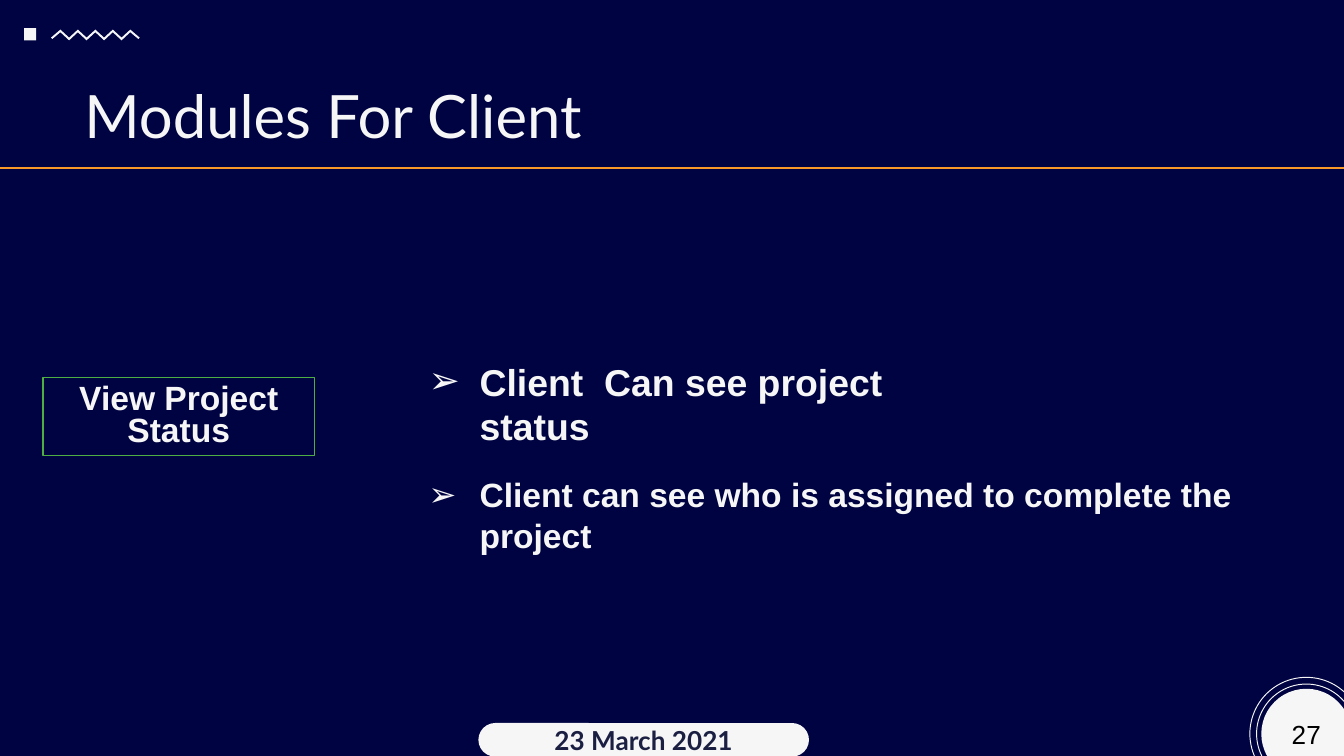
import pptx
import pptx.util
import pptx.dml.color
import pptx.enum.shapes
import pptx.enum.text
import pptx.oxml.ns
from lxml import etree

Inches, Pt = pptx.util.Inches, pptx.util.Pt
SHAPE = pptx.enum.shapes.MSO_SHAPE
ANCHOR = pptx.enum.text.MSO_ANCHOR
ALIGN = pptx.enum.text.PP_ALIGN
qn = pptx.oxml.ns.qn

COLORS = {"navy": "000341", "white": "F6F6F6", "orange": "F89829",
          "green": "4CAE43", "ink": "1B1F42", "black": "000000"}

TITLE = "Modules For Client"
MODULE = "View Project Status"
BULLETS = [  # text, size, box
    ("Client  Can see project status", 20, (3.09, 2.62, 4.25, 0.77)),
    ("Client can see who is assigned to complete the project", 18,
     (3.09, 3.48, 6.36, 0.71)),
]
DATE = "23 March 2021"
PAGE = "27"

BADGE_CENTER = (9.72, 5.46)
BADGE_RADIUS = 0.335
RING_RADII = (0.42, 0.37)
ZIGZAG_START, ZIGZAG_STEP, ZIGZAG_COUNT = 0.45, 0.065, 9


def rgb(name):
    return pptx.dml.color.RGBColor.from_string(COLORS[name])


def style(s, fill=None, line=None, width=0.75):
    s.shadow.inherit = False
    if fill:
        s.fill.solid()
        s.fill.fore_color.rgb = rgb(fill)
    else:
        s.fill.background()
    if line:
        s.line.color.rgb = rgb(line)
        s.line.width = Pt(width)
    else:
        s.line.fill.background()


def add_shape(kind, box, **look):
    s = slide.shapes.add_shape(kind, *map(Inches, box))
    style(s, **look)
    return s


def add_outline(points):
    points = [(Inches(x), Inches(y)) for x, y in points]
    builder = slide.shapes.build_freeform(*points[0])
    builder.add_line_segments(points[1:], close=True)
    style(builder.convert_to_shape(), fill="white")


def circle_box(radius):
    x, y = BADGE_CENTER
    return x - radius, y - radius, 2 * radius, 2 * radius


def write(s, text, size, color="white", font="Arial", bold=False,
          align=ALIGN.CENTER, anchor=ANCHOR.MIDDLE, inset=0.1):
    tf = s.text_frame
    tf.word_wrap = True
    tf.vertical_anchor = anchor
    tf.margin_left = tf.margin_right = Inches(0.1)
    tf.margin_top = tf.margin_bottom = Inches(inset)
    tf.text = text
    p = tf.paragraphs[0]
    p.alignment = align
    f = p.runs[0].font
    f.name, f.size, f.bold = font, Pt(size), bold
    f.color.rgb = rgb(color)
    return p


def add_bullet(p, indent=0.38):
    pPr = p._p.get_or_add_pPr()
    pPr.set("marL", str(Inches(indent)))
    pPr.set("indent", str(-Inches(indent)))
    color = etree.SubElement(pPr, qn("a:buClr"))
    etree.SubElement(color, qn("a:srgbClr"), val=COLORS["white"])
    etree.SubElement(pPr, qn("a:buFont"), typeface="Arial")
    etree.SubElement(pPr, qn("a:buChar"), char="➢")


prs = pptx.Presentation()
prs.slide_width = Inches(10)
prs.slide_height = prs.slide_width * 9 // 16
slide = prs.slides.add_slide(prs.slide_layouts[6])
slide.background.fill.solid()
slide.background.fill.fore_color.rgb = rgb("navy")

# Header: square, zigzag band, title and rule
add_shape(SHAPE.RECTANGLE, (0.18, 0.21, 0.09, 0.09), fill="white")
xs = [ZIGZAG_START + i * ZIGZAG_STEP for i in range(ZIGZAG_COUNT)]
upper = [(x, 0.28 if i % 2 else 0.22) for i, x in enumerate(xs)]
lower = [(x, 0.3 if i % 2 else 0.24) for i, x in enumerate(xs)]
add_outline([(0.38, 0.28), *upper, (1.04, 0.28),
             (1.03, 0.29), *reversed(lower), (0.39, 0.29)])

rule = slide.shapes.add_connector(
    pptx.enum.shapes.MSO_CONNECTOR.STRAIGHT,
    0, Inches(1.25), prs.slide_width, Inches(1.25))
rule.line.color.rgb = rgb("orange")
rule.line.width = Pt(1.5)
etree.SubElement(rule._element.spPr, qn("a:effectLst"))

title = slide.shapes.add_textbox(*map(Inches, (0.53, 0.49, 4.47, 0.63)))
write(title, TITLE, 32, font="Lato", align=ALIGN.LEFT, anchor=ANCHOR.TOP)

# Body: module box and its bullets
module = add_shape(SHAPE.RECTANGLE, (0.32, 2.81, 2.02, 0.58), line="green")
write(module, MODULE, 18, bold=True).line_spacing = 0.8

for text, size, box in BULLETS:
    s = slide.shapes.add_textbox(*map(Inches, box))
    add_bullet(write(s, text, size, bold=True, align=ALIGN.LEFT,
                     anchor=ANCHOR.TOP, inset=0.05))

# Footer: page badge and date
for radius in RING_RADII:
    add_shape(SHAPE.OVAL, circle_box(radius), line="white", width=0.5)
badge = add_shape(SHAPE.OVAL, circle_box(BADGE_RADIUS), fill="white")
write(badge, PAGE, 14, color="black")

date = add_shape(SHAPE.ROUNDED_RECTANGLE, (3.56, 5.38, 2.46, 0.25),
                 fill="white")
date.adjustments[0] = 0.5
write(date, DATE, 14, color="ink", font="Lato", bold=True)

prs.save("out.pptx")
